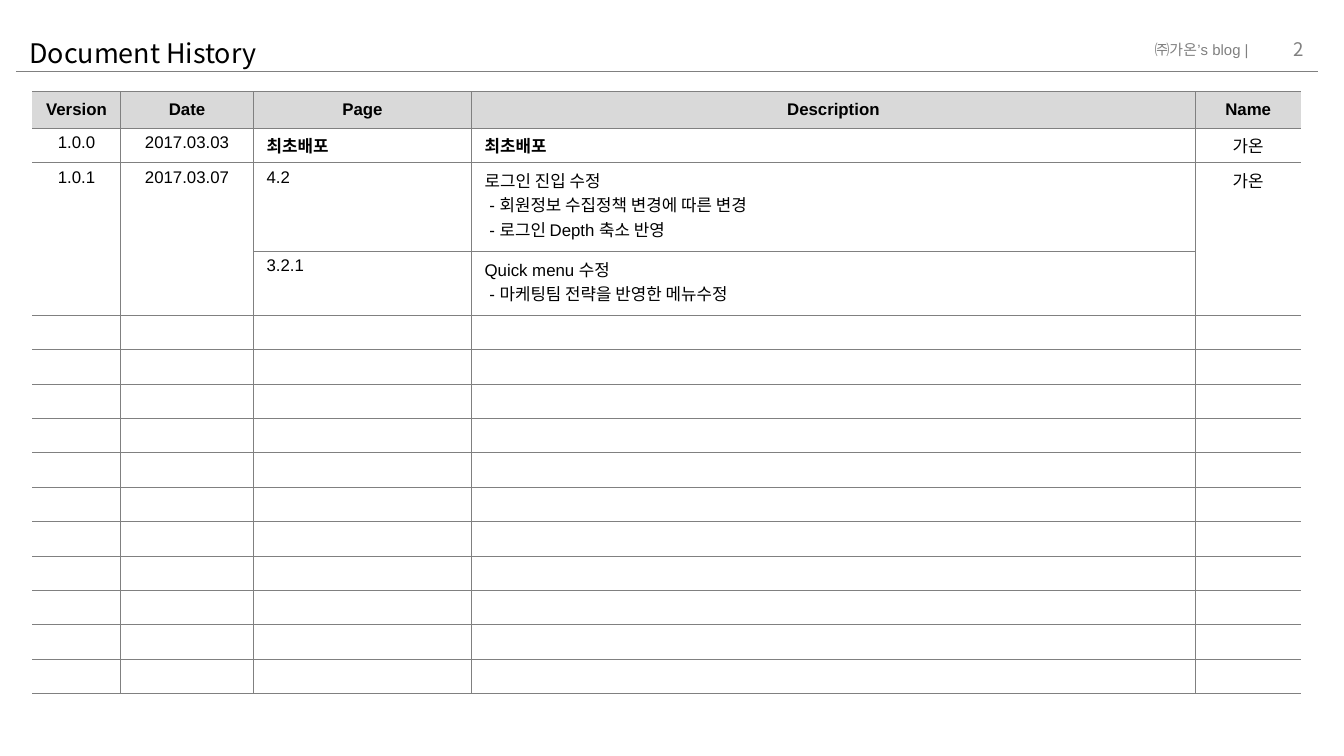
from lxml.etree import SubElement
from pptx import Presentation
from pptx.dml.color import RGBColor
from pptx.enum.shapes import MSO_CONNECTOR
from pptx.enum.text import MSO_ANCHOR, PP_ALIGN
from pptx.oxml.ns import qn
from pptx.util import Cm, Pt

BLACK = RGBColor(0x00, 0x00, 0x00)
GRAY = RGBColor(0x80, 0x80, 0x80)
LIGHT_GRAY = RGBColor(0xD9, 0xD9, 0xD9)
WHITE = RGBColor(0xFF, 0xFF, 0xFF)
LATIN, KOREAN = "Arial", "Noto Sans CJK KR"

COLUMN_WIDTHS = [1.67, 2.51, 4.12, 13.68, 2.0]
HEADER_HEIGHT, ROW_HEIGHT = 0.69, 0.65
EMPTY_ROWS = 11
ROW_HEIGHTS = [HEADER_HEIGHT, ROW_HEIGHT, 1.68, 1.2] + [ROW_HEIGHT] * EMPTY_ROWS
CENTERED_COLUMNS = (0, 1, 4)
BOLD_CELLS = [(1, 2), (1, 3)]
MERGED_COLUMNS = (0, 1, 4)
HISTORY = [
    ["Version", "Date", "Page", "Description", "Name"],
    ["1.0.0", "2017.03.03", "최초배포", "최초배포", "가온"],
    ["1.0.1", "2017.03.07", "4.2",
     "로그인 진입 수정\n - 회원정보 수집정책 변경에 따른 변경\n - 로그인 Depth 축소 반영", "가온"],
    ["", "", "3.2.1", "Quick menu 수정\n - 마케팅팀 전략을 반영한 메뉴수정", ""],
] + [[""] * len(COLUMN_WIDTHS)] * EMPTY_ROWS


def add_span(para, text, size, color, font=LATIN, bold=False, east_asian=KOREAN):
    span = para.add_run()
    span.text = text
    span.font.size = Pt(size)
    span.font.name = font
    span.font.bold = bold
    span.font.color.rgb = color
    SubElement(span.font._element, qn("a:ea"), typeface=east_asian)


def set_border(cell, edge, visible):
    properties = cell._tc.get_or_add_tcPr()
    line = SubElement(properties, qn(f"a:{edge}"), w=str(Pt(0.25)))
    if visible:
        fill = SubElement(line, qn("a:solidFill"))
        SubElement(fill, qn("a:srgbClr"), val=str(GRAY))
    else:
        SubElement(line, qn("a:noFill"))


def fill_cell(cell, text, row, column):
    header = row == 0
    # Borders come before the fill; the outer sides stay open
    set_border(cell, "lnL", column > 0)
    set_border(cell, "lnR", column < len(COLUMN_WIDTHS) - 1)
    set_border(cell, "lnT", True)
    set_border(cell, "lnB", True)
    cell.fill.solid()
    cell.fill.fore_color.rgb = LIGHT_GRAY if header else WHITE
    cell.margin_left = cell.margin_right = Cm(0.25)
    cell.margin_top = cell.margin_bottom = Cm(0.1)
    cell.vertical_anchor = MSO_ANCHOR.MIDDLE if header else MSO_ANCHOR.TOP
    frame = cell.text_frame
    for index, text_line in enumerate(text.split("\n")):
        para = frame.add_paragraph() if index else frame.paragraphs[0]
        if header or column in CENTERED_COLUMNS:
            para.alignment = PP_ALIGN.CENTER
        if text_line:
            add_span(para, text_line, 9, BLACK,
                     bold=header or (row, column) in BOLD_CELLS)
        else:
            SubElement(para._p, qn("a:endParaRPr"), sz="900")


def add_history_table(page, left, top):
    shape = page.shapes.add_table(
        len(ROW_HEIGHTS), len(COLUMN_WIDTHS), Cm(left), Cm(top),
        Cm(sum(COLUMN_WIDTHS)), Cm(sum(ROW_HEIGHTS)))
    table = shape.table
    table.horz_banding = False
    for column, width in zip(table.columns, COLUMN_WIDTHS):
        column.width = Cm(width)
    for row, height in zip(table.rows, ROW_HEIGHTS):
        row.height = Cm(height)
    for row, texts in enumerate(HISTORY):
        for column, text in enumerate(texts):
            fill_cell(table.cell(row, column), text, row, column)
    # Version 1.0.1 covers two rows
    for column in MERGED_COLUMNS:
        table.cell(2, column).merge(table.cell(3, column))


def add_label(page, left, top, width, height, text, size, font, align, anchor):
    box = page.shapes.add_textbox(Cm(left), Cm(top), Cm(width), Cm(height))
    frame = box.text_frame
    frame.word_wrap = True
    frame.vertical_anchor = anchor
    if align == PP_ALIGN.LEFT:
        frame.margin_right = 0
    para = frame.paragraphs[0]
    para.alignment = align
    add_span(para, text, size, GRAY, font, east_asian=font)


def add_page_header(page, left, top, width):
    # Title
    title = page.shapes.title
    title.left, title.top = Cm(left), Cm(top)
    title.width, title.height = Cm(20.4), Cm(0.76)
    frame = title.text_frame
    frame.word_wrap = True
    frame.margin_top, frame.margin_bottom = Cm(0.08), 0
    frame.vertical_anchor = MSO_ANCHOR.MIDDLE
    para = frame.paragraphs[0]
    para.alignment = PP_ALIGN.LEFT
    add_span(para, "Document History", 14.4, BLACK, KOREAN)

    # Rule below the title
    bottom = Cm(top + 0.77)
    rule = page.shapes.add_connector(
        MSO_CONNECTOR.STRAIGHT, Cm(left), bottom, Cm(left + width), bottom)
    rule.line.color.rgb = GRAY
    rule.line.width = Pt(1)
    SubElement(rule._element.spPr, qn("a:effectLst"))

    # Blog name and page number
    right = left + width
    add_label(page, right - 3.33, top + 0.06, 2.6, 0.61, "㈜가온’s blog |",
              8, LATIN, PP_ALIGN.LEFT, MSO_ANCHOR.TOP)
    add_label(page, right - 1.52, top - 0.04, 1.52, 0.76, "2",
              10, KOREAN, PP_ALIGN.RIGHT, MSO_ANCHOR.MIDDLE)


deck = Presentation()
deck.slide_width, deck.slide_height = Cm(25.4), Cm(14.28)
page = deck.slides.add_slide(deck.slide_layouts[5])
add_page_header(page, 0.3, 0.58, 24.6)
add_history_table(page, 0.61, 1.73)
deck.save("out.pptx")
